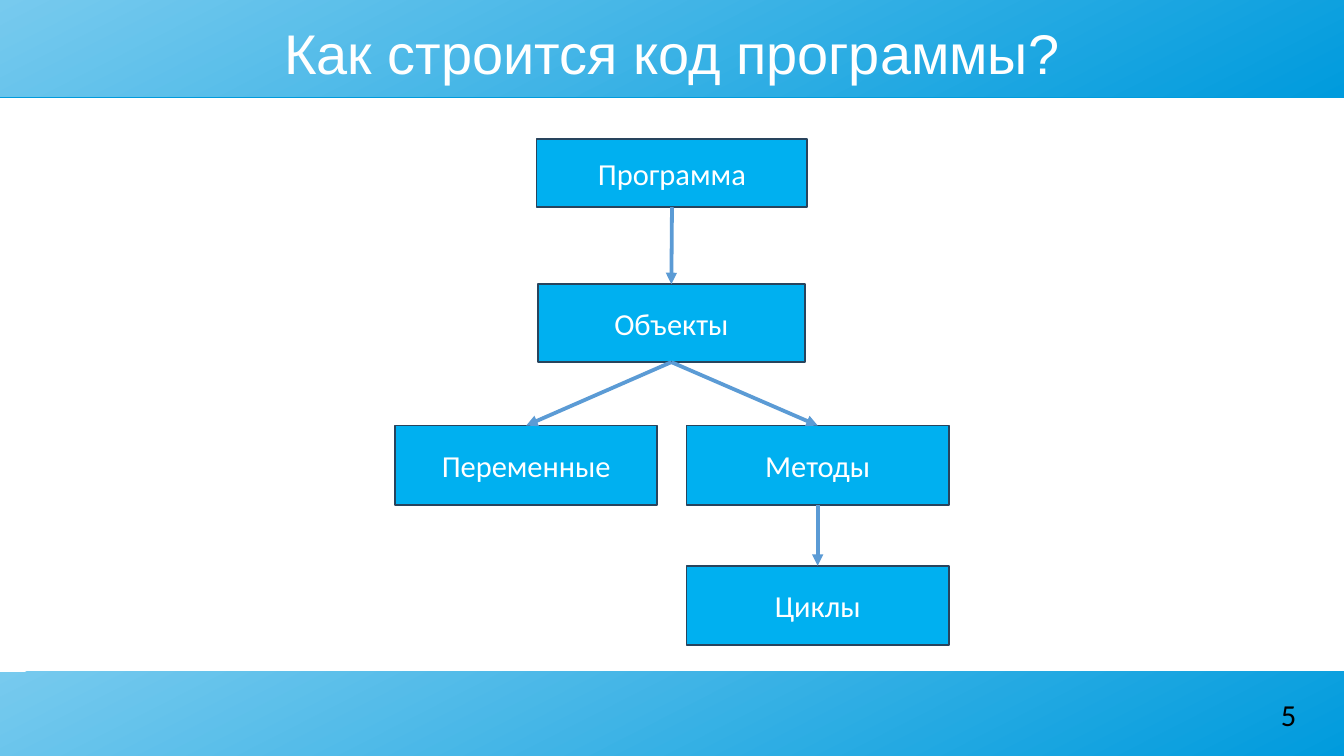
from dataclasses import dataclass

from lxml import etree
from pptx import Presentation
from pptx.dml.color import RGBColor
from pptx.enum import shapes, text
from pptx.oxml import ns, parse_xml
from pptx.shapes.autoshape import Shape
from pptx.shapes.connector import Connector
from pptx.slide import Slide
from pptx.text.text import TextFrame
from pptx.util import Inches, Pt

WIDTH, HEIGHT = 11.02, 6.2
MARGIN = 0.39
BAND_LIGHT = RGBColor(0x77, 0xCA, 0xEE)
BAND_DARK = RGBColor(0x00, 0x9B, 0xDD)
BOX_FILL = RGBColor(0x00, 0xB0, 0xF0)
BOX_LINE = RGBColor(0x28, 0x44, 0x5D)
ARROW = RGBColor(0x5B, 0x9B, 0xD5)
WHITE = RGBColor(0xFF, 0xFF, 0xFF)
BLACK = RGBColor(0x00, 0x00, 0x00)
TOP, BOTTOM = 0, 2  # connection sites


@dataclass
class Box:
    label: str
    left: float
    top: float
    width: float = 2.15
    height: float = 0.65


BOXES = [
    Box("Программа", 4.4, 1.14, 2.22, 0.56),
    Box("Объекты", 4.41, 2.33, 2.19, 0.64),
    Box("Переменные", 3.24, 3.49),
    Box("Методы", 5.63, 3.49),
    Box("Циклы", 5.63, 4.64),
]
LINKS = [
    ("Программа", "Объекты"),
    ("Объекты", "Переменные"),
    ("Объекты", "Методы"),
    ("Методы", "Циклы"),
]


def write(frame: TextFrame, words: str, size: float, font: str,
          color: RGBColor, align: text.PP_ALIGN) -> None:
    frame.text = words
    paragraph = frame.paragraphs[0]
    paragraph.alignment = align
    paragraph.font.size = Pt(size)
    paragraph.font.name = font
    paragraph.font.color.rgb = color


def clear_margins(frame: TextFrame) -> None:
    frame.margin_left = frame.margin_right = 0
    frame.margin_top = frame.margin_bottom = 0
    frame.word_wrap = True


def add_band(slide: Slide, top: float, height: float) -> None:
    band = slide.shapes.add_shape(shapes.MSO_SHAPE.RECTANGLE, 0, Inches(top),
                                  Inches(WIDTH), Inches(height))
    band.fill.gradient()
    band.fill.gradient_angle = 360 - 63
    for stop, color in zip(band.fill.gradient_stops, (BAND_LIGHT, BAND_DARK)):
        stop.color.rgb = color
    stops = band.fill.gradient_stops
    stops[0].position, stops[1].position = 0, 1
    band.line.fill.background()
    # Thin shadow along the lower edge
    band.element.spPr.append(parse_xml(
        f'<a:effectLst {ns.nsdecls("a")}>'
        f'<a:outerShdw blurRad="0" dist="{Pt(0.9)}" dir="5400000" rotWithShape="0">'
        f'<a:srgbClr val="{BAND_DARK}"/></a:outerShdw></a:effectLst>'))


def add_box(slide: Slide, box: Box) -> Shape:
    shape = slide.shapes.add_shape(
        shapes.MSO_SHAPE.RECTANGLE, Inches(box.left), Inches(box.top),
        Inches(box.width), Inches(box.height))
    shape.shadow.inherit = False
    shape.fill.solid()
    shape.fill.fore_color.rgb = BOX_FILL
    shape.line.color.rgb = BOX_LINE
    shape.line.width = Pt(1)
    shape.text_frame.vertical_anchor = text.MSO_ANCHOR.MIDDLE
    write(shape.text_frame, box.label, 18, "Calibri", WHITE, text.PP_ALIGN.CENTER)
    return shape


def add_arrow(slide: Slide, parent: Shape, child: Shape) -> Connector:
    arrow = slide.shapes.add_connector(shapes.MSO_CONNECTOR.STRAIGHT, 0, 0, 0, 0)
    arrow.begin_connect(parent, BOTTOM)
    arrow.end_connect(child, TOP)
    arrow.line.color.rgb = ARROW
    arrow.line.width = Pt(2.25)
    etree.SubElement(arrow.line._get_or_add_ln(), ns.qn("a:tailEnd"), type="triangle")
    etree.SubElement(arrow._element.spPr, ns.qn("a:effectLst"))
    return arrow


def main() -> None:
    presentation = Presentation()
    presentation.slide_width = Inches(WIDTH)
    presentation.slide_height = Inches(HEIGHT)
    slide = presentation.slides.add_slide(presentation.slide_layouts[5])

    # Header and footer bands
    add_band(slide, 0, 0.79)
    add_band(slide, 5.51, 0.69)

    # Title, raised above the header band
    title = slide.shapes.title
    title.left, title.top = Inches(MARGIN), Inches(0.17)
    title.width, title.height = Inches(WIDTH - 2 * MARGIN), Inches(0.52)
    clear_margins(title.text_frame)
    title.text_frame.auto_size = text.MSO_AUTO_SIZE.NONE
    title.text_frame.vertical_anchor = text.MSO_ANCHOR.MIDDLE
    write(title.text_frame, "Как строится код программы?", 33, "Arial", WHITE,
          text.PP_ALIGN.CENTER)
    title.element.getparent().append(title.element)

    # Slide number
    number = slide.shapes.add_textbox(Inches(8.07), Inches(5.71),
                                      Inches(2.56), Inches(0.39))
    clear_margins(number.text_frame)
    write(number.text_frame, "5", 18, "Calibri", BLACK, text.PP_ALIGN.RIGHT)

    # Program structure
    nodes = {box.label: add_box(slide, box) for box in BOXES}
    for parent, child in LINKS:
        add_arrow(slide, nodes[parent], nodes[child])

    presentation.save("out.pptx")


if __name__ == "__main__":
    main()
